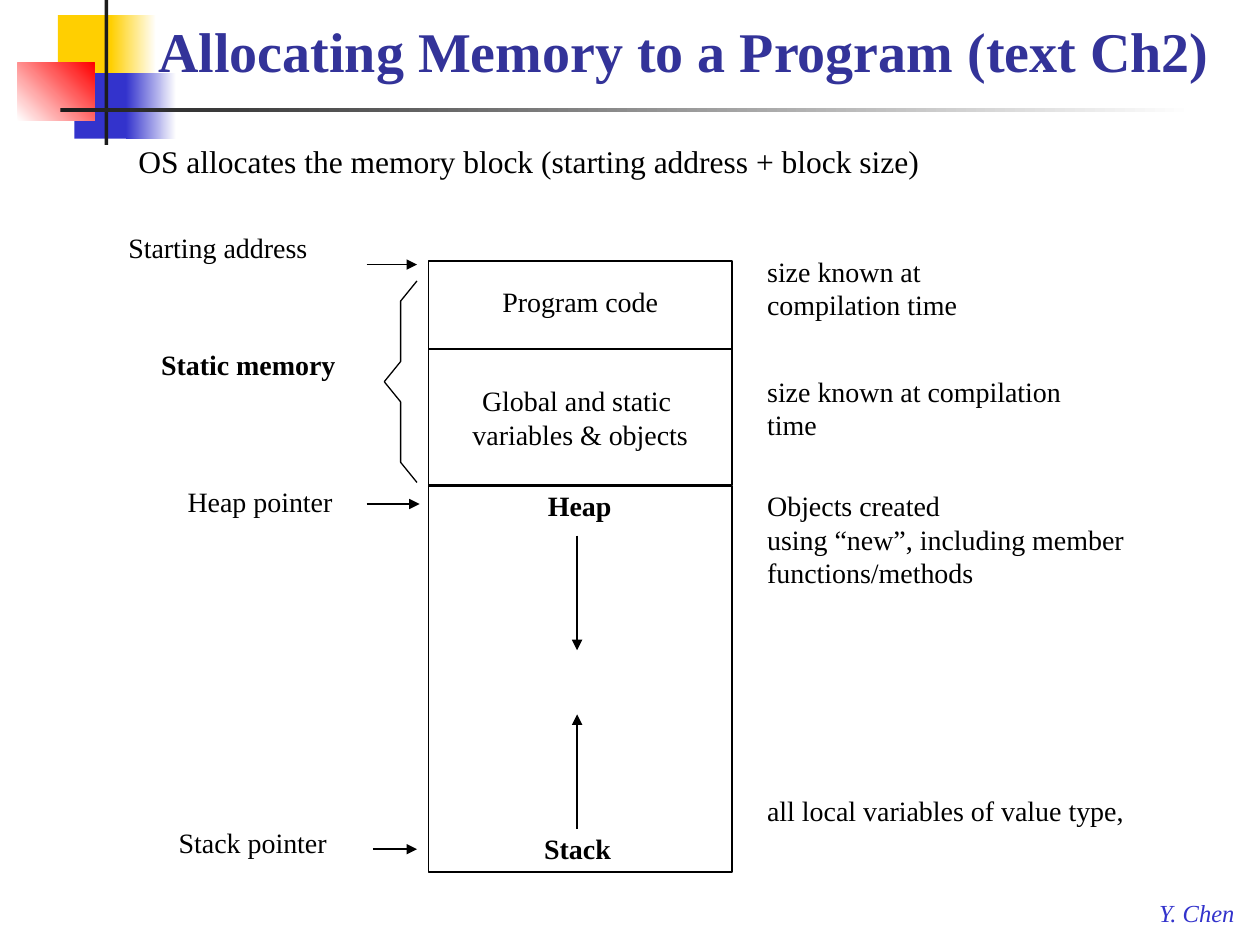
from lxml.etree import SubElement
from pptx import Presentation
from pptx.dml.color import RGBColor
from pptx.enum.shapes import MSO_CONNECTOR, MSO_SHAPE
from pptx.enum.text import MSO_ANCHOR, MSO_AUTO_SIZE, PP_ALIGN
from pptx.oxml.ns import qn
from pptx.util import Inches, Pt

COLORS = {
    "black": "000000", "white": "FFFFFF", "ink": "1C1C1C", "yellow": "FFCF01",
    "blue": "3333CC", "red": "FF0000", "title": "333399",
}


def color(name):
    return RGBColor.from_string(COLORS[name])


class MemorySlide:
    font = "Times New Roman"

    def __init__(self, deck):
        self.page = deck.slides.add_slide(deck.slide_layouts[5])

    def format_text(self, frame, size, shade, bold=False, italic=False):
        for para in frame.paragraphs:
            for span in para.runs:
                span.font.name = self.font
                span.font.size = Pt(size)
                span.font.bold = bold
                span.font.italic = italic
                span.font.color.rgb = color(shade)

    def title(self, text, left, top, width, height):
        box = self.page.shapes.title
        box.left, box.top = Inches(left), Inches(top)
        box.width, box.height = Inches(width), Inches(height)
        frame = box.text_frame
        frame.text = text
        frame.word_wrap = True
        frame.auto_size = MSO_AUTO_SIZE.NONE
        frame.vertical_anchor = MSO_ANCHOR.MIDDLE
        frame.paragraphs[0].alignment = PP_ALIGN.CENTER
        frame.paragraphs[0].line_spacing = 0.85
        self.format_text(frame, 32, "title", bold=True)

    def label(self, text, left, top, width, height=0.37, size=16, shade="black",
              wrap=False, bold=False, italic=False):
        box = self.page.shapes.add_textbox(
            Inches(left), Inches(top), Inches(width), Inches(height))
        frame = box.text_frame
        frame.text = text
        frame.word_wrap = wrap
        frame.auto_size = MSO_AUTO_SIZE.SHAPE_TO_FIT_TEXT
        self.format_text(frame, size, shade, bold, italic)

    def rectangle(self, left, top, width, height):
        box = self.page.shapes.add_shape(
            MSO_SHAPE.RECTANGLE, Inches(left), Inches(top), Inches(width), Inches(height))
        box.shadow.inherit = False
        return box

    def ornament(self, left, top, width, height, start, end=None, angle=0):
        box = self.rectangle(left, top, width, height)
        box.line.fill.background()
        if end is None:
            box.fill.solid()
            box.fill.fore_color.rgb = color(start)
            return
        box.fill.gradient()
        box.fill.gradient_angle = angle
        for stop, shade, position in zip(box.fill.gradient_stops, (start, end), (0, 1)):
            stop.color.rgb = color(shade)
            stop.position = position

    def memory_block(self, top, height, text="", spacing=1.0):
        box = self.rectangle(3.4, top, 2.41, height)
        box.fill.solid()
        box.fill.fore_color.rgb = color("white")
        box.line.color.rgb = color("black")
        box.line.width = Pt(1)
        if text:
            frame = box.text_frame
            frame.text = text
            frame.word_wrap = False
            frame.vertical_anchor = MSO_ANCHOR.MIDDLE
            frame.paragraphs[0].alignment = PP_ALIGN.CENTER
            frame.paragraphs[0].line_spacing = spacing
            self.format_text(frame, 16, "black")

    def arrow(self, x1, y1, x2, y2, width=1.0):
        line = self.page.shapes.add_connector(
            MSO_CONNECTOR.STRAIGHT, Inches(x1), Inches(y1), Inches(x2), Inches(y2))
        line.line.color.rgb = color("black")
        line.line.width = Pt(width)
        properties = line._element.spPr
        SubElement(properties.find(qn("a:ln")), qn("a:tailEnd"), type="triangle")
        SubElement(properties, qn("a:effectLst"))

    def outline(self, points):
        corners = [(Inches(x), Inches(y)) for x, y in points]
        builder = self.page.shapes.build_freeform(*corners[0])
        builder.add_line_segments(corners[1:], close=False)
        shape = builder.convert_to_shape()
        shape.shadow.inherit = False
        shape.fill.background()
        shape.line.color.rgb = color("black")
        shape.line.width = Pt(0.75)


deck = Presentation()
deck.slide_width, deck.slide_height = Inches(10), Inches(7.5)
slide = MemorySlide(deck)

# Corner ornament and rule
slide.ornament(0.46, 0.12, 0.48, 0.52, "yellow")
slide.ornament(0.88, 0.12, 0.36, 0.52, "yellow", "white")
slide.ornament(0.59, 0.58, 0.46, 0.52, "blue")
slide.ornament(1, 0.58, 0.4, 0.52, "blue", "white")
slide.ornament(0.14, 0.5, 0.61, 0.46, "white", "red", 45)
slide.ornament(0.83, 0, 0.03, 1.15, "ink")
slide.ornament(0.48, 0.86, 9, 0.03, "ink", "white")

# Title, introduction and author
slide.title("Allocating Memory to a Program (text Ch2)", 1.02, 0.09, 8.82, 0.7)
slide.label("OS allocates the memory block (starting address + block size)",
            1, 1.08, 8.46, 0.5, size=18)
slide.label("Y. Chen", 9.1, 7.08, 0.82, 0.33, size=14, shade="blue", italic=True)

# Memory blocks
slide.memory_block(3.86, 3.06)
slide.memory_block(2.77, 1.08, "Global and static \vvariables & objects")
slide.memory_block(2.07, 0.7, "Program code", 0.8)

# Heap and stack grow towards each other
slide.label("Heap", 4.25, 3.83, 0.71, bold=True)
slide.arrow(4.58, 4.25, 4.58, 5.16)
slide.arrow(4.58, 6.58, 4.58, 5.67)
slide.label("Stack", 4.22, 6.55, 0.74, bold=True)

# Pointers on the left
slide.label("Starting address", 0.92, 1.78, 1.63)
slide.arrow(2.91, 2.1, 3.31, 2.1, 0.75)
slide.label("Heap pointer", 1.39, 3.8, 1.41)
slide.arrow(2.91, 4, 3.33, 4)
slide.label("Stack pointer", 1.32, 6.5, 1.86, wrap=True)
slide.arrow(2.96, 6.74, 3.31, 6.74)

# Static memory brace, mirrored about its tip
slide.label("Static memory", 1.18, 2.71, 1.61, bold=True)
tip = 3.03
arm = [(3.31, 0.8), (3.18, 0.64), (3.18, 0.16)]
slide.outline([(x, tip - rise) for x, rise in arm] + [(3.05, tip)]
              + [(x, tip + rise) for x, rise in reversed(arm)])

# Notes on the right
for text, top, width, height in [
    ("size known at compilation time", 1.97, 2.38, 0.64),
    ("size known at compilation time", 2.92, 2.78, 0.64),
    ("Objects created\vusing “new”, including member functions/methods", 3.83, 3.85, 0.91),
    ("all local variables of value type,", 6.25, 3.05, 0.64),
]:
    slide.label(text, 5.99, top, width, height, wrap=True)

deck.save("out.pptx")
